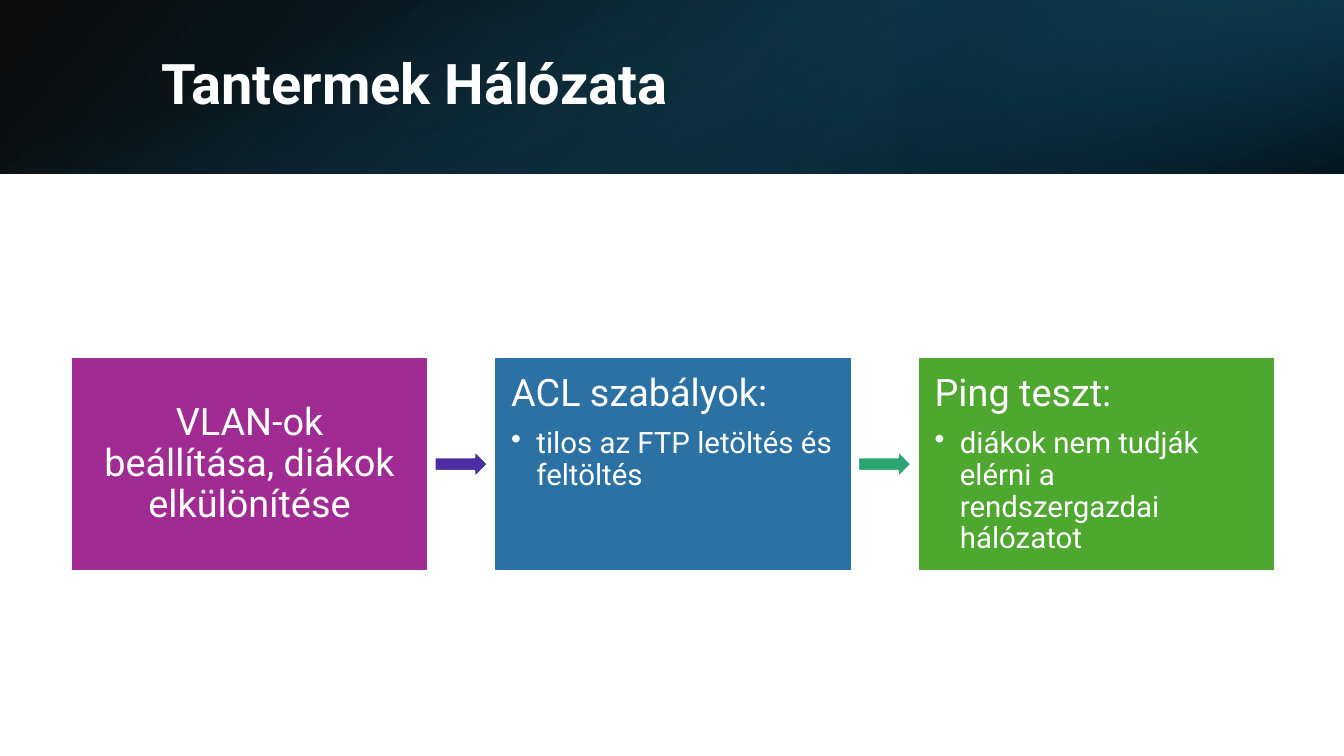
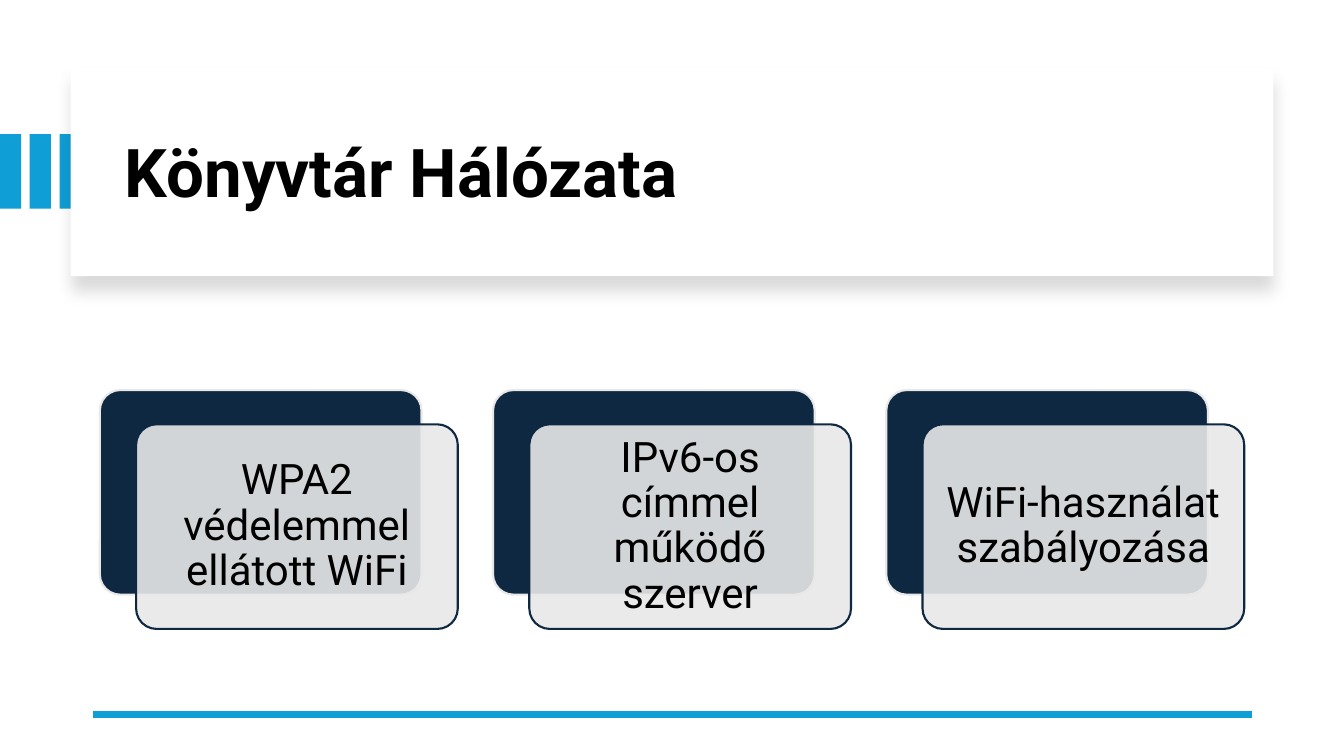
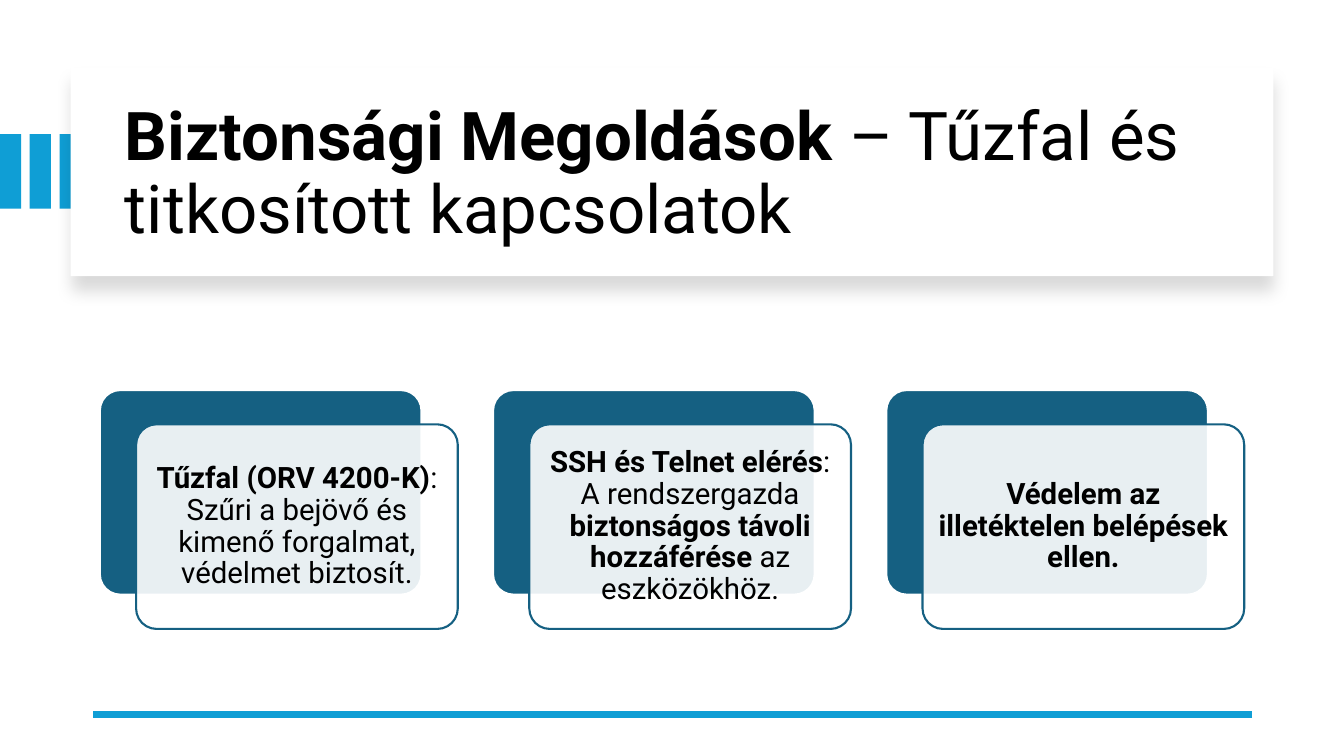
from lxml import etree
from pptx import Presentation
from pptx import util as u
from pptx.dml.color import RGBColor
from pptx.enum import shapes, text
from pptx.oxml.ns import qn


class Theme:
    font = "Roboto"
    white, black, accent = "FFFFFF", "000000", "0F9ED5"
    navy, teal, deep_teal, night, grey = "0E2841", "156082", "104862", "0B3041", "E8E8E8"
    purple, blue, green = "A02B93", "2C71A4", "4EA72E"
    violet, mint = "4B2CA2", "2DA573"
    band_title, title, step, bullet = 40, 48, 27, 21
    card_large, card_small = 30, 21
    outline, rule = 1.5, 4.5


SHAPE = shapes.MSO_SHAPE
LEFT, CENTER = text.PP_ALIGN.LEFT, text.PP_ALIGN.CENTER
TOP, MIDDLE = text.MSO_ANCHOR.TOP, text.MSO_ANCHOR.MIDDLE


def add_box(s, kind, x, y, w, h, fill=None, line=None):
    sp = s.shapes.add_shape(kind, u.Inches(x), u.Inches(y), u.Inches(w), u.Inches(h))
    sp.shadow.inherit = False
    if fill:
        sp.fill.solid()
        sp.fill.fore_color.rgb = RGBColor.from_string(fill)
    if line:
        sp.line.color.rgb = RGBColor.from_string(line)
        sp.line.width = u.Pt(Theme.outline)
    else:
        sp.line.fill.background()
    return sp


def write(sp, paragraphs, color, align, anchor, inset_x, inset_y):
    tf = sp.text_frame
    tf.word_wrap = True
    tf.vertical_anchor = anchor
    tf.margin_left = tf.margin_right = u.Inches(inset_x)
    tf.margin_top = tf.margin_bottom = u.Inches(inset_y)
    for i, (size, runs) in enumerate(paragraphs):
        p = tf.add_paragraph() if i else tf.paragraphs[0]
        p.alignment = align
        p.line_spacing = 0.9
        if i < len(paragraphs) - 1:
            p.space_after = u.Pt(9.5)
        for words, bold in runs:
            r = p.add_run()
            r.text = words
            r.font.name = Theme.font
            r.font.size = u.Pt(size)
            r.font.bold = bold
            r.font.color.rgb = RGBColor.from_string(color)
    return tf


prs = Presentation()
W, H = 13.33, 7.5
prs.slide_width, prs.slide_height = u.Inches(W), u.Inches(H)
blank = prs.slide_layouts[6]

s = prs.slides.add_slide(blank)
BAND = 1.72
band_layers = [
    (0, 0, W, BAND, 0, True, 140, [(0, Theme.black, 96), (100, Theme.deep_teal, 100)]),
    (8.89, 0, 4.44, BAND, 180, True, 320, [(19, Theme.night, 68), (100, Theme.teal, 79)]),
    ((W - BAND) / 2, (BAND - W) / 2, BAND, W, 90, False, 340,
     [(23, Theme.teal, 0), (99, Theme.black, 74)]),
]
for x, y, w, h, rotation, flip, angle, stops in band_layers:
    sp = add_box(s, SHAPE.RECTANGLE, x, y, w, h)
    sp.rotation = rotation
    if flip:
        sp._element.spPr.xfrm.set("flipH", "1")
    sp.fill.gradient()
    sp.fill.gradient_angle = 360 - angle
    for stop, (position, color, _) in zip(sp.fill.gradient_stops, stops):
        stop.position = position / 100
        stop.color.rgb = RGBColor.from_string(color)
    for clr, (_, _, alpha) in zip(sp._element.spPr.iter(qn("a:srgbClr")), stops):
        etree.SubElement(clr, qn("a:alpha"), val=str(alpha * 1000))

title = s.shapes.add_textbox(u.Inches(1.5), u.Inches(0.38), u.Inches(10.98), u.Inches(0.96))
write(title, [(Theme.band_title, [("Tantermek Hálózata", True)])],
      Theme.white, LEFT, MIDDLE, 0.1, 0.05)

steps = [
    (Theme.purple, "VLAN-ok beállítása, diákok elkülönítése", None, Theme.violet),
    (Theme.blue, "ACL szabályok:", "tilos az FTP letöltés és feltöltés", Theme.mint),
    (Theme.green, "Ping teszt:", "diákok nem tudják elérni a rendszergazdai hálózatot", None),
]
for i, (fill, heading, bullet, arrow) in enumerate(steps):
    x = 0.7 + 4.2 * i
    sp = add_box(s, SHAPE.RECTANGLE, x, 3.54, 3.55, 2.13, fill, Theme.white)
    paragraphs = [(Theme.step, [(heading, False)])]
    if bullet:
        paragraphs.append((Theme.bullet, [(bullet, False)]))
    tf = write(sp, paragraphs, Theme.white, LEFT if bullet else CENTER,
               TOP if bullet else MIDDLE, 0.17, 0.17)
    if bullet:
        pPr = tf.paragraphs[1]._p.get_or_add_pPr()
        pPr.set("marL", str(u.Inches(0.25)))
        pPr.set("indent", str(-u.Inches(0.25)))
        etree.SubElement(pPr, qn("a:buChar"), char="•")
    if arrow:
        add_box(s, SHAPE.RIGHT_ARROW, x + 3.61, 4.47, 0.53, 0.27, arrow, Theme.white)

card_slides = [
    ([("Könyvtár Hálózata", True)], Theme.navy, Theme.grey, Theme.card_large, 0.12, [
        [("WPA2 védelemmel ellátott WiFi", False)],
        [("IPv6-os címmel működő szerver", False)],
        [("WiFi-használat szabályozása", False)],
    ]),
    ([("Biztonsági Megoldások ", True), ("– Tűzfal és titkosított kapcsolatok", False)],
     Theme.teal, Theme.white, Theme.card_small, 0.09, [
        [("Tűzfal (ORV 4200-K)", True),
         (": Szűri a bejövő és kimenő forgalmat, védelmet biztosít.", False)],
        [("SSH és Telnet elérés", True), (": A rendszergazda ", False),
         ("biztonságos távoli hozzáférése", True), (" az eszközökhöz.", False)],
        [("Védelem az illetéktelen belépések ellen.", True)],
    ]),
]
for heading, dark, light, size, inset, cards in card_slides:
    s = prs.slides.add_slide(blank)
    for i in range(3):
        add_box(s, SHAPE.RECTANGLE, 0.59 * i / 2, 1.33, 0.21, 0.74, Theme.accent)

    panel = add_box(s, SHAPE.RECTANGLE, 0.7, 0.67, 11.93, 2.07, Theme.white)
    effects = panel._element.spPr.find(qn("a:effectLst"))
    shadow = etree.SubElement(effects, qn("a:outerShdw"), blurRad=str(u.Pt(11)),
                              dist=str(u.Pt(10)), dir="5400000", algn="t", rotWithShape="0")
    clr = etree.SubElement(shadow, qn("a:srgbClr"), val=Theme.black)
    etree.SubElement(clr, qn("a:alpha"), val="15000")

    title = s.shapes.add_textbox(u.Inches(1.14), u.Inches(0.89), u.Inches(11.13), u.Inches(1.7))
    write(title, [(Theme.title, heading)], Theme.black, LEFT, MIDDLE, 0.1, 0.05)

    rule = s.shapes.add_connector(shapes.MSO_CONNECTOR.STRAIGHT, u.Inches(12.42), u.Inches(7.09),
                                  u.Inches(0.92), u.Inches(7.09))
    rule.line.color.rgb = RGBColor.from_string(Theme.accent)
    rule.line.width = u.Pt(Theme.rule)
    etree.SubElement(rule._element.spPr, qn("a:effectLst"))

    for i, runs in enumerate(cards):
        x = 0.99 + 3.9 * i
        back = add_box(s, SHAPE.ROUNDED_RECTANGLE, x, 3.87, 3.19, 2.03, dark, light)
        front = add_box(s, SHAPE.ROUNDED_RECTANGLE, x + 0.36, 4.21, 3.19, 2.03, light, dark)
        back.adjustments[0] = front.adjustments[0] = 0.1
        clr = front._element.spPr.find(qn("a:solidFill")).find(qn("a:srgbClr"))
        etree.SubElement(clr, qn("a:alpha"), val="90000")
        write(front, [(size, runs)], Theme.black, CENTER, MIDDLE, inset, inset)

prs.save("out.pptx")
